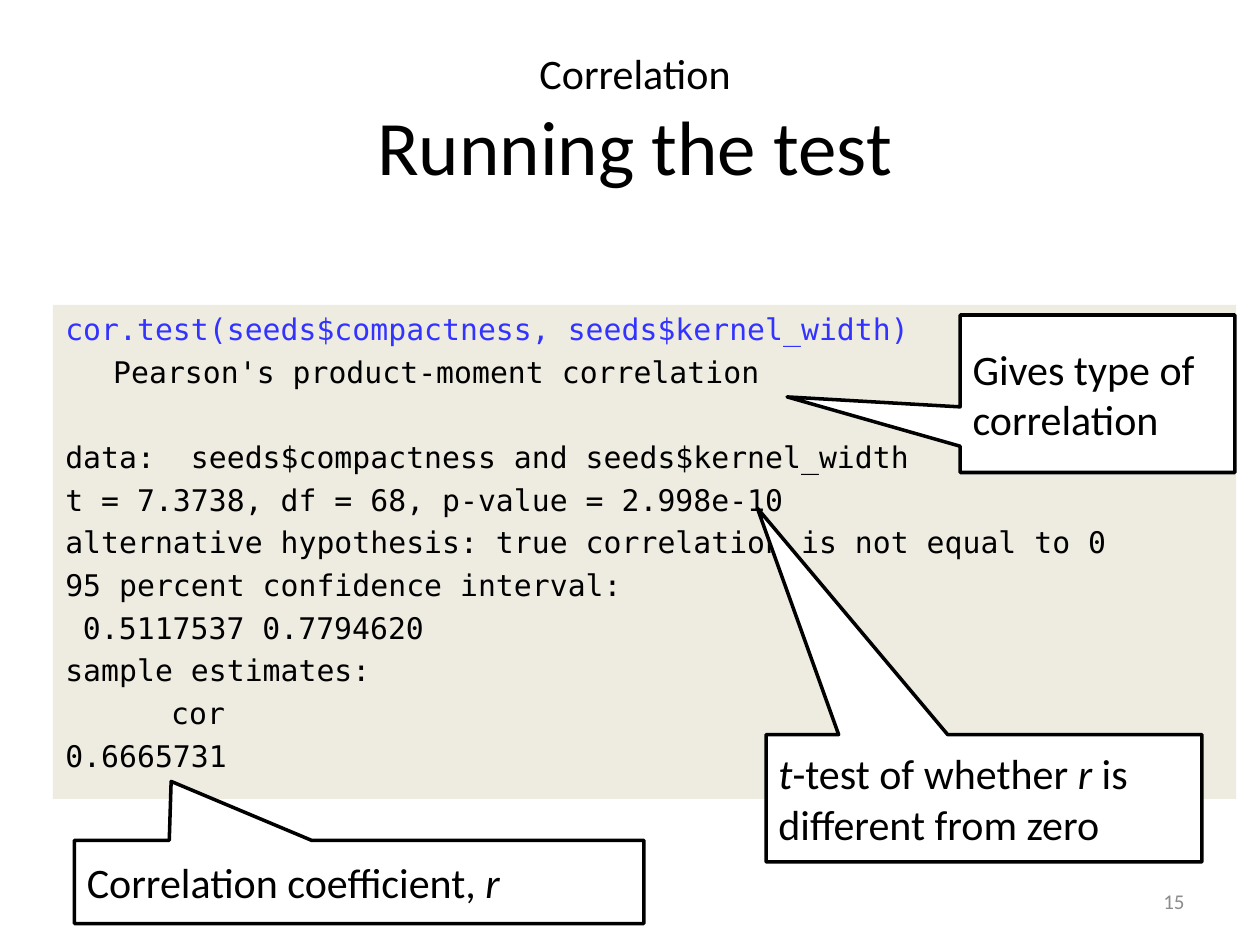
import dataclasses

import pptx
import pptx.dml.color
import pptx.enum.shapes
import pptx.enum.text
import pptx.util

RGB = pptx.dml.color.RGBColor
KIND = pptx.enum.shapes.MSO_SHAPE
ALIGN = pptx.enum.text.PP_ALIGN
ANCHOR = pptx.enum.text.MSO_ANCHOR

BLACK = RGB(0x00, 0x00, 0x00)
WHITE = RGB(0xFF, 0xFF, 0xFF)
BLUE = RGB(0x33, 0x33, 0xFF)
GRAY = RGB(0x8C, 0x8C, 0x8C)
CREAM = RGB(0xEE, 0xEC, 0xE1)

SANS = "Calibri"
MONO = "DejaVu Sans Mono"
SCALE = 9144  # EMU per px, 100 px to the inch
CODE_SIZE = 17
CODE_GAP = 4  # points above each line of code
CODE_LINE = 24  # points from one line of code to the next
CHAR = 14  # px width of one code character


@dataclasses.dataclass
class Box:
    left: int
    top: int
    width: int
    height: int

    def emu(self) -> list:
        return [px(n) for n in dataclasses.astuple(self)]


@dataclasses.dataclass
class Line:
    text: str
    color: RGB = BLACK
    indent: int = 0
    skip: int = 0  # empty lines above


@dataclasses.dataclass
class Callout:
    box: Box
    tip: tuple  # pointer offset from the centre, as shares of the size
    runs: list  # (text, italic)


def px(count: int) -> int:
    return pptx.util.Emu(count * SCALE)


def add_run(para, text: str, size: int, font: str = SANS,
            color: RGB = BLACK, italic: bool = False) -> None:
    run = para.add_run()
    run.text = text
    run.font.name = font
    run.font.size = pptx.util.Pt(size)
    run.font.color.rgb = color
    run.font.italic = italic


def add_block(slide, kind, box: Box, fill: RGB):
    shape = slide.shapes.add_shape(kind, *box.emu())
    shape.shadow.inherit = False
    shape.fill.solid()
    shape.fill.fore_color.rgb = fill
    shape.line.fill.background()
    shape.text_frame.word_wrap = True
    return shape


def add_title(slide, small: str, large: str) -> None:
    title = slide.shapes.title
    title.left, title.top, title.width, title.height = Box(25, 33, 958, 125).emu()
    frame = title.text_frame
    frame.vertical_anchor = ANCHOR.TOP
    frame.auto_size = pptx.enum.text.MSO_AUTO_SIZE.NONE
    para = frame.paragraphs[0]
    para.alignment = ALIGN.CENTER
    add_run(para, small, 24)
    para.add_line_break()
    add_run(para, large, 44)


def add_code(slide, box: Box, lines: list) -> None:
    frame = add_block(slide, KIND.RECTANGLE, box, CREAM).text_frame
    frame.vertical_anchor = ANCHOR.TOP
    for i, line in enumerate(lines):
        para = frame.add_paragraph() if i else frame.paragraphs[0]
        para.alignment = ALIGN.LEFT
        para.space_before = pptx.util.Pt(CODE_GAP + line.skip * CODE_LINE)
        props = para._p.get_or_add_pPr()
        props.set("marL", str(px(line.indent)))
        props.set("indent", "0")
        add_run(para, line.text, CODE_SIZE, MONO, line.color)


def add_callout(slide, note: Callout) -> None:
    shape = add_block(slide, KIND.RECTANGULAR_CALLOUT, note.box, WHITE)
    shape.adjustments[0], shape.adjustments[1] = note.tip
    shape.line.color.rgb = BLACK
    shape.line.width = pptx.util.Pt(2)
    shape.text_frame.vertical_anchor = ANCHOR.MIDDLE
    para = shape.text_frame.paragraphs[0]
    para.alignment = ALIGN.LEFT
    for text, italic in note.runs:
        add_run(para, text, 24, italic=italic)


def add_number(slide, box: Box, text: str) -> None:
    frame = slide.shapes.add_textbox(*box.emu()).text_frame
    frame.word_wrap = True
    frame.vertical_anchor = ANCHOR.MIDDLE
    para = frame.paragraphs[0]
    para.alignment = ALIGN.RIGHT
    add_run(para, text, 12, color=GRAY)


CODE = [
    Line("cor.test(seeds$compactness, seeds$kernel_width)", BLUE),
    Line("Pearson's product-moment correlation", indent=38),
    Line("data:  seeds$compactness and seeds$kernel_width", skip=1),
    Line("t = 7.3738, df = 68, p-value = 2.998e-10"),
    Line("alternative hypothesis: true correlation is not equal to 0"),
    Line("95 percent confidence interval:"),
    Line("0.5117537 0.7794620", indent=CHAR),
    Line("sample estimates:"),
    Line("cor", indent=6 * CHAR),
    Line("0.6665731"),
]

NOTES = [
    Callout(Box(59, 667, 452, 66), (-0.33, -1.21),
            [("Correlation coefficient, ", False), ("r", True)]),
    Callout(Box(762, 250, 218, 125), (-1.13, 0.02),
            [("Gives type of correlation", False)]),
    Callout(Box(608, 583, 346, 101), (-0.52, -2.28),
            [("t", True), ("-test of whether ", False), ("r", True),
             (" is different from zero", False)]),
]


def main() -> None:
    deck = pptx.Presentation()
    deck.slide_width, deck.slide_height = px(1000), px(750)
    slide = deck.slides.add_slide(deck.slide_layouts[5])  # title only

    # Heading
    add_title(slide, "Correlation", "Running the test")

    # Console output and page number
    add_code(slide, Box(42, 242, 939, 392), CODE)
    add_number(slide, Box(717, 695, 233, 40), "15")

    # Notes pointing into the output
    for note in NOTES:
        add_callout(slide, note)

    deck.save("out.pptx")


if __name__ == "__main__":
    main()
